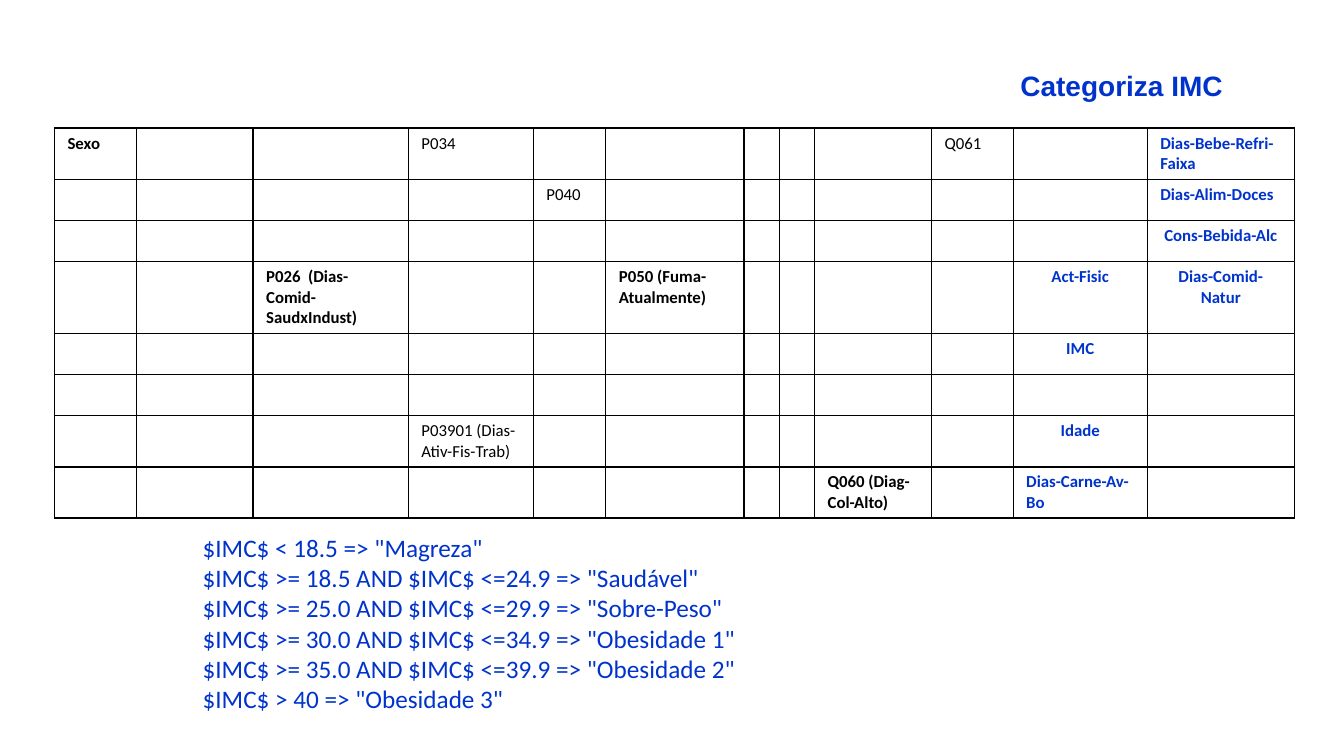
from lxml import etree
from pptx import Presentation
from pptx.dml.color import RGBColor
from pptx.enum.text import MSO_ANCHOR, MSO_AUTO_SIZE, PP_ALIGN
from pptx.oxml.ns import qn
from pptx.util import Inches, Pt

LEFT, CENTER, RIGHT = PP_ALIGN.LEFT, PP_ALIGN.CENTER, PP_ALIGN.RIGHT
TOP, NO_AUTOFIT = MSO_ANCHOR.TOP, MSO_AUTO_SIZE.NONE
BLUE = RGBColor(0x00, 0x33, 0xCC)
BLACK = RGBColor(0x00, 0x00, 0x00)
WHITE = RGBColor(0xFF, 0xFF, 0xFF)
TITLE_AND_CONTENT = 1

COLUMN_WIDTHS = [0.81, 1.16, 1.54, 1.24, 0.72, 1.37, 0.35, 0.35, 1.16, 0.81, 1.33, 1.46]
ROW_COUNT = 8
ROW_HEIGHT = 0.41
VARIABLES = {
    (0, 0): ("Sexo", BLACK, True, LEFT),
    (0, 3): ("P034", BLACK, False, LEFT),
    (0, 9): ("Q061", BLACK, False, LEFT),
    (0, 11): ("Dias-Bebe-Refri-Faixa", BLUE, True, LEFT),
    (1, 4): ("P040", BLACK, False, LEFT),
    (1, 11): ("Dias-Alim-Doces", BLUE, True, LEFT),
    (2, 11): ("Cons-Bebida-Alc", BLUE, True, CENTER),
    (3, 2): ("P026  (Dias-Comid-SaudxIndust)", BLACK, True, LEFT),
    (3, 5): ("P050 (Fuma-Atualmente)", BLACK, True, LEFT),
    (3, 10): ("Act-Fisic", BLUE, True, CENTER),
    (3, 11): ("Dias-Comid-Natur", BLUE, True, CENTER),
    (4, 10): ("IMC", BLUE, True, CENTER),
    (6, 3): ("P03901 (Dias-Ativ-Fis-Trab)", BLACK, False, LEFT),
    (6, 10): ("Idade", BLUE, True, CENTER),
    (7, 8): ("Q060 (Diag-Col-Alto)", BLACK, True, LEFT),
    (7, 10): ("Dias-Carne-Av-Bo", BLUE, True, LEFT),
}
IMC_RULES = [
    '$IMC$ < 18.5 => "Magreza"',
    '$IMC$ >= 18.5 AND $IMC$ <=24.9 => "Saudável"',
    '$IMC$ >= 25.0 AND $IMC$ <=29.9 => "Sobre-Peso"',
    '$IMC$ >= 30.0 AND $IMC$ <=34.9 => "Obesidade 1"',
    '$IMC$ >= 35.0 AND $IMC$ <=39.9 => "Obesidade 2"',
    '$IMC$ > 40 => "Obesidade 3"',
]


class SlideBuilder:
    heading_font = "Arial"
    body_font = "Calibri"

    def __init__(self, presentation):
        self.slide = presentation.slides.add_slide(
            presentation.slide_layouts[TITLE_AND_CONTENT])

    def format_paragraph(self, paragraph, font_name, size, color, bold, alignment):
        paragraph.alignment = alignment
        for run in paragraph.runs:
            run.font.name = font_name
            run.font.size = Pt(size)
            run.font.color.rgb = color
            run.font.bold = bold

    def place(self, shape, left, top, width, height):
        shape.left, shape.top = Inches(left), Inches(top)
        shape.width, shape.height = Inches(width), Inches(height)
        shape.text_frame.word_wrap = True
        shape.text_frame.auto_size = NO_AUTOFIT
        shape.text_frame.vertical_anchor = TOP

    def add_title(self, text, left, top, width, height):
        title = self.slide.shapes.title
        self.place(title, left, top, width, height)
        title.text_frame.text = text
        self.format_paragraph(title.text_frame.paragraphs[0],
                              self.heading_font, 20, BLUE, True, RIGHT)

    def add_list(self, lines, left, top, width, height):
        body = self.slide.placeholders[1]
        self.place(body, left, top, width, height)
        body.text_frame.text = "\n".join(lines)
        for paragraph in body.text_frame.paragraphs:
            properties = paragraph._p.get_or_add_pPr()
            properties.set("marL", "0")
            properties.set("indent", "0")
            etree.SubElement(properties, qn("a:buNone"))
            paragraph.space_before = Pt(0)
            self.format_paragraph(paragraph, self.body_font, 18, BLUE, False, LEFT)

    def add_borders(self, cell):
        properties = cell._tc.get_or_add_tcPr()
        for side in ("a:lnL", "a:lnR", "a:lnT", "a:lnB"):
            line = etree.SubElement(properties, qn(side), w=str(Pt(1)))
            fill = etree.SubElement(line, qn("a:solidFill"))
            etree.SubElement(fill, qn("a:srgbClr"), val=str(BLACK))

    def add_grid(self, entries, left, top):
        table = self.slide.shapes.add_table(
            ROW_COUNT, len(COLUMN_WIDTHS), Inches(left), Inches(top),
            Inches(sum(COLUMN_WIDTHS)), Inches(ROW_COUNT * ROW_HEIGHT)).table
        table.first_row = False
        table.horz_banding = False
        for column, width in zip(table.columns, COLUMN_WIDTHS):
            column.width = Inches(width)
        for row in table.rows:
            row.height = Inches(ROW_HEIGHT)
        for cell in table.iter_cells():
            self.add_borders(cell)
            cell.fill.solid()
            cell.fill.fore_color.rgb = WHITE
            cell.margin_left = cell.margin_right = Inches(0.13)
            cell.margin_top = cell.margin_bottom = Inches(0.05)
        for (row_index, column_index), (text, color, bold, alignment) in entries.items():
            text_frame = table.cell(row_index, column_index).text_frame
            text_frame.text = text
            self.format_paragraph(text_frame.paragraphs[0],
                                  self.body_font, 12, color, bold, alignment)


def main():
    presentation = Presentation()
    presentation.slide_width = Inches(13.33)
    presentation.slide_height = Inches(7.5)
    builder = SlideBuilder(presentation)
    builder.add_title("Categoriza IMC", 0.68, 0.63, 11.55, 0.44)
    builder.add_grid(VARIABLES, 0.54, 1.27)
    builder.add_list(IMC_RULES, 1.91, 5.23, 8.37, 1.92)
    presentation.save("out.pptx")


if __name__ == "__main__":
    main()
